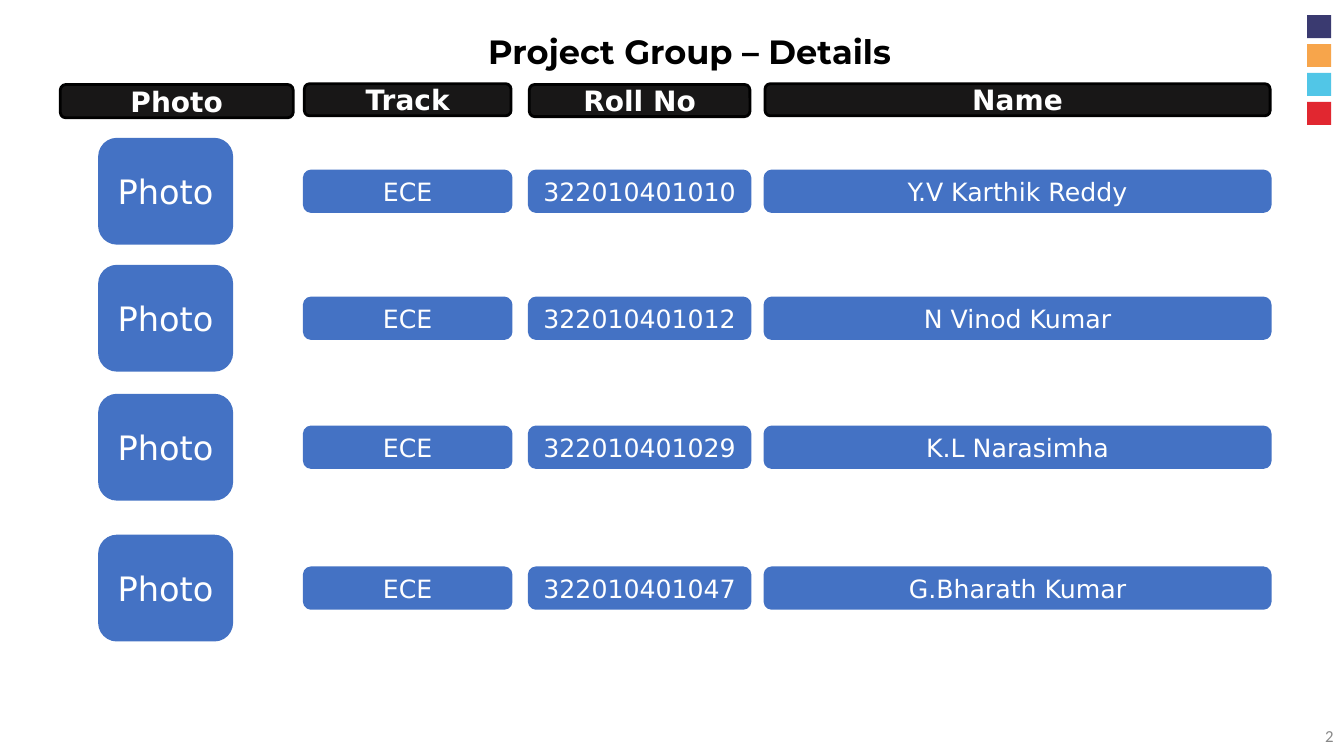
from pptx import Presentation
from pptx.dml.color import RGBColor
from pptx.enum.shapes import MSO_SHAPE as Preset
from pptx.enum.text import MSO_ANCHOR as Anchor, MSO_AUTO_SIZE as AutoSize, PP_ALIGN as Align
from pptx.util import Cm, Pt

COLORS = {
    "black": "000000", "header": "181717", "blue": "4472C4", "white": "FFFFFF",
    "grey": "888888", "navy": "3A3A70", "orange": "F7A54B", "cyan": "51C6E7", "red": "E12730",
}
TITLE = "Project Group – Details"
PAGE_NUMBER = "2"
HEADERS = ["Photo", "Track", "Roll No", "Name"]
MEMBERS = [
    ("ECE", "322010401010", "Y.V Karthik Reddy"),
    ("ECE", "322010401012", "N Vinod Kumar"),
    ("ECE", "322010401029", "K.L Narasimha"),
    ("ECE", "322010401047", "G.Bharath Kumar"),
]
ACCENTS = ["navy", "orange", "cyan", "red"]

COLUMNS = [(1.52, 5.87), (7.67, 5.21), (13.34, 5.56), (19.28, 12.73)]
HEADER_SPANS = [(2.13, 0.84), (2.11, 0.81), (2.13, 0.81), (2.11, 0.81)]
ROW_TOPS = [3.51, 6.71, 9.96, 13.51]
PHOTO_LEFT, PHOTO_WIDTH, PHOTO_HEIGHT = 2.51, 3.33, 2.62
CELL_HEIGHT = 1.02
ACCENT_LEFT, ACCENT_TOP, ACCENT_PITCH = 32.94, 0.38, 0.73


def color(name):
    return RGBColor.from_string(COLORS[name])


def write(holder, text, size=18, font="DejaVu Sans", ink="white", bold=False,
          align=Align.CENTER, anchor=Anchor.MIDDLE):
    frame = holder.text_frame
    frame.word_wrap = True
    frame.auto_size = AutoSize.NONE
    frame.vertical_anchor = anchor
    paragraph = frame.paragraphs[0]
    paragraph.alignment = align
    run = paragraph.add_run()
    run.text = text
    run.font.name = font
    run.font.size = Pt(size)
    run.font.bold = bold
    run.font.color.rgb = color(ink)


def add_block(preset, left, top, width, height, fill, line=None):
    block = slide.shapes.add_shape(preset, Cm(left), Cm(top), Cm(width), Cm(height))
    block.shadow.inherit = False
    block.fill.solid()
    block.fill.fore_color.rgb = color(fill)
    if line:
        block.line.color.rgb = color(line)
        block.line.width = Pt(2)
    else:
        block.line.fill.background()
    return block


deck = Presentation()
deck.slide_width, deck.slide_height = Cm(33.87), Cm(19.05)
slide = deck.slides.add_slide(deck.slide_layouts[5])

title = slide.shapes.title
title.left, title.top, title.width, title.height = Cm(2.77), Cm(0.64), Cm(29.21), Cm(1.37)
write(title, TITLE, size=24, font="Montserrat", ink="black", bold=True, anchor=Anchor.TOP)

for position, accent in enumerate(ACCENTS):
    add_block(Preset.RECTANGLE, ACCENT_LEFT, ACCENT_TOP + position * ACCENT_PITCH,
              0.61, 0.58, accent)

for heading, (left, width), (top, height) in zip(HEADERS, COLUMNS, HEADER_SPANS):
    header = add_block(Preset.ROUNDED_RECTANGLE, left, top, width, height, "header", "black")
    write(header, heading, size=20, bold=True)

for row_top, member in zip(ROW_TOPS, MEMBERS):
    photo = add_block(Preset.ROUNDED_RECTANGLE, PHOTO_LEFT, row_top, PHOTO_WIDTH, PHOTO_HEIGHT,
                      "blue", "blue")
    write(photo, "Photo", size=24)
    cell_top = row_top + (PHOTO_HEIGHT - CELL_HEIGHT) / 2
    for detail, (left, width) in zip(member, COLUMNS[1:]):
        cell = add_block(Preset.ROUNDED_RECTANGLE, left, cell_top, width, CELL_HEIGHT,
                         "blue", "blue")
        write(cell, detail)

page_number = slide.shapes.add_textbox(Cm(26.24), Cm(18.03), Cm(7.62), Cm(1.02))
write(page_number, PAGE_NUMBER, size=12, font="Calibri", ink="grey", align=Align.RIGHT)

deck.save("out.pptx")
